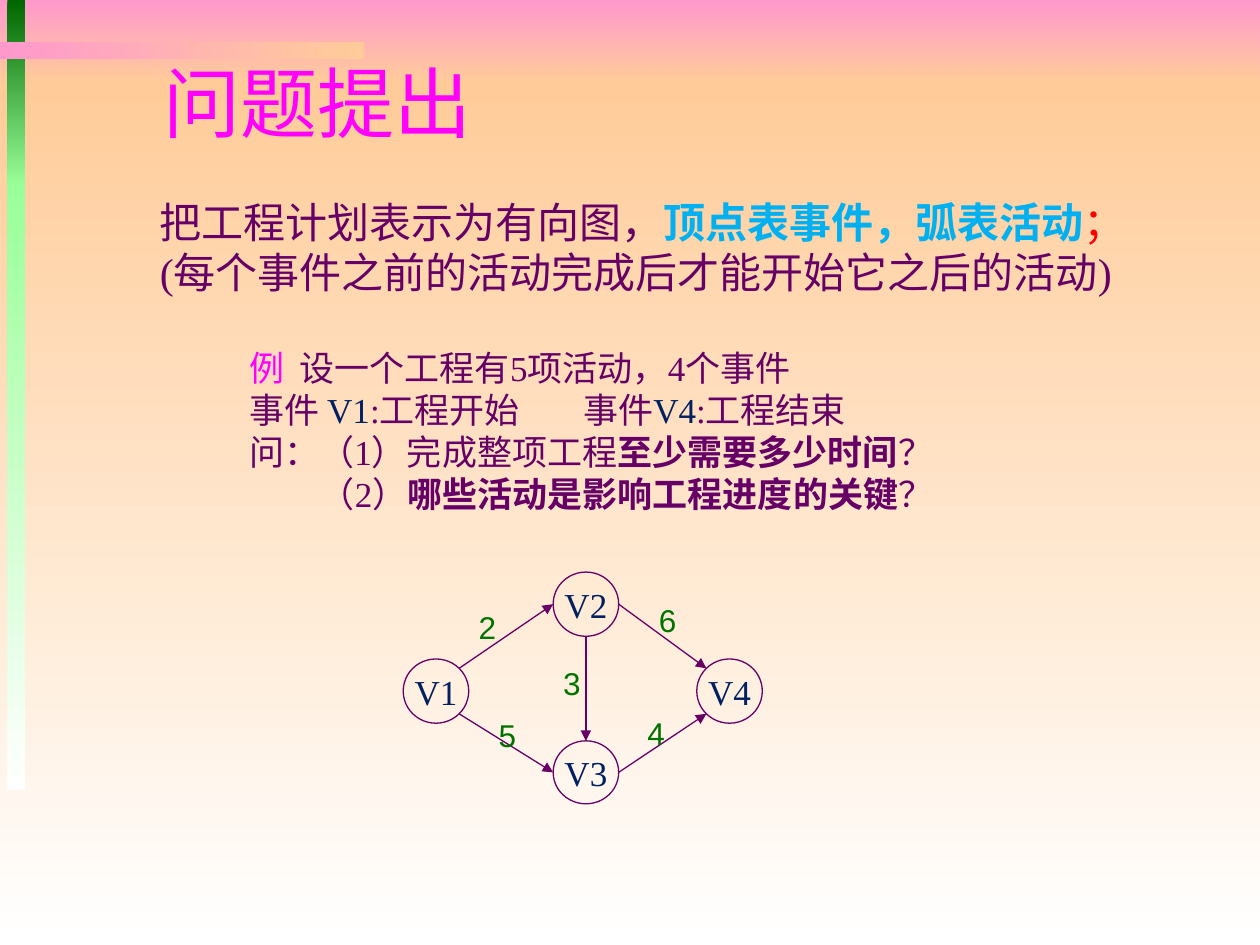
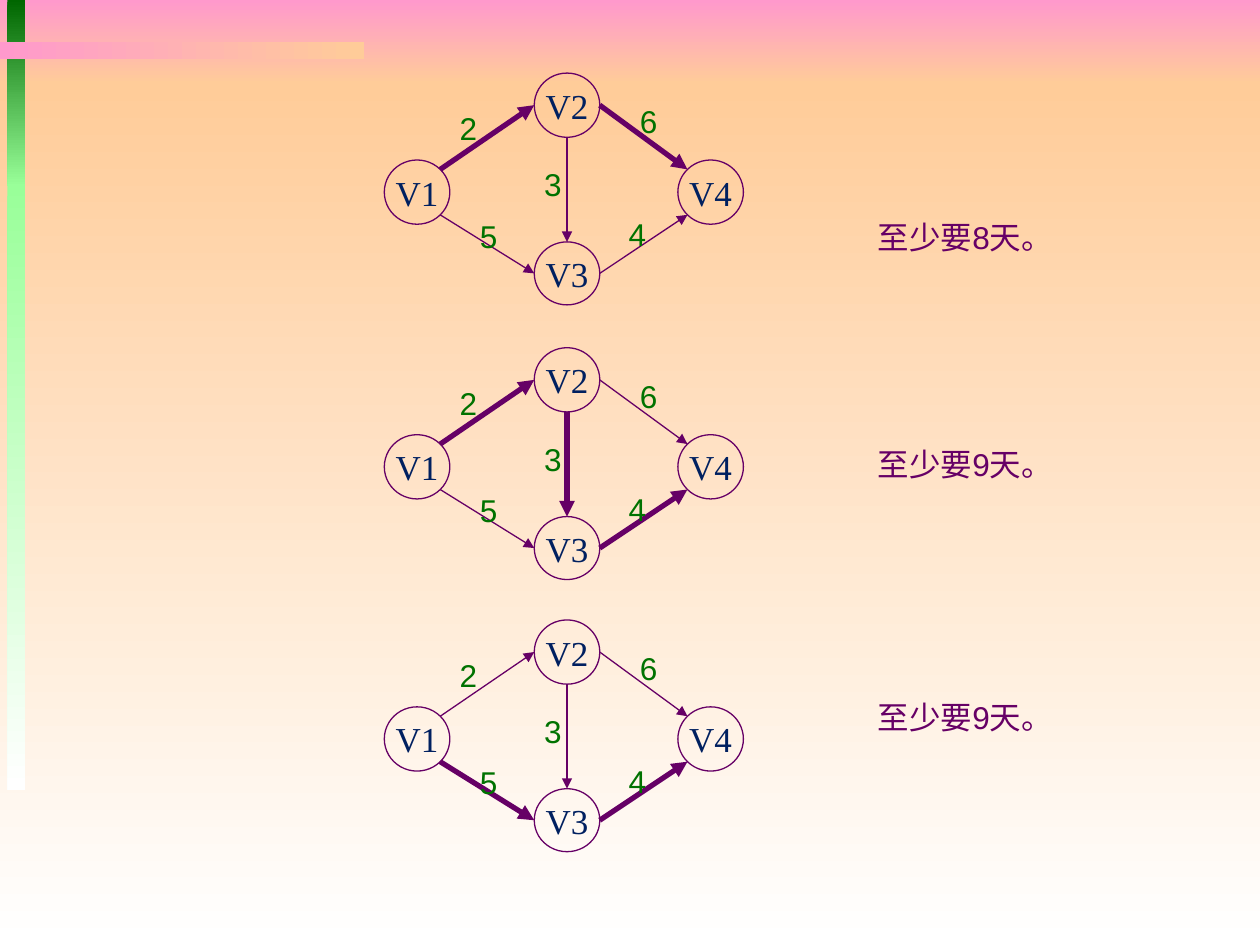
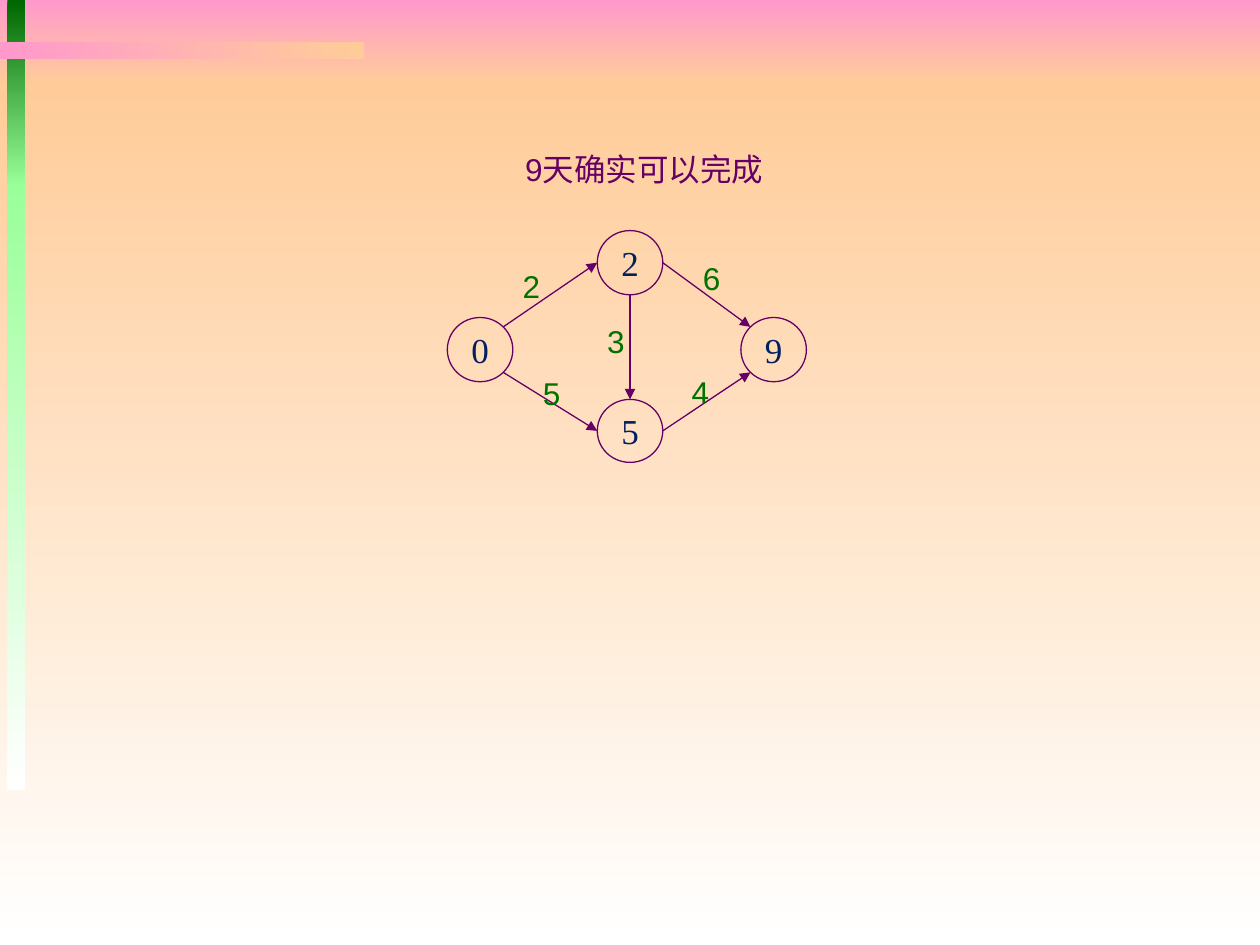
from math import sqrt

from lxml.etree import SubElement
from pptx import Presentation
from pptx.dml.color import RGBColor
from pptx.enum.shapes import MSO_CONNECTOR, MSO_SHAPE
from pptx.enum.text import MSO_ANCHOR, MSO_AUTO_SIZE, PP_ALIGN
from pptx.oxml.ns import qn
from pptx.util import Inches, Pt

PURPLE, NAVY, GREEN = "660066", "002060", "007200"
MAGENTA, SKY, RED = "FF00FF", "00B0F0", "FF0000"
PINK, PEACH, WHITE = "FF99CC", "FFCC99", "FFFFFF"
DARK_GREEN, LIGHT_GREEN = "006600", "99FF99"
SANS, SERIF = "Arial", "Times New Roman"

BANDS = [
    ((0, 0, 10, 0.67), PINK, PEACH, 270),
    ((0, 0.67, 10, 6.83), PEACH, WHITE, 270),
    ((0.06, 0, 0.14, 1.48), DARK_GREEN, LIGHT_GREEN, 270),
    ((0.06, 1.46, 0.14, 4.81), LIGHT_GREEN, WHITE, 270),
    ((0, 0.33, 2.89, 0.14), PINK, PEACH, 0),
]

NODE_W = 0.52
NODES = {
    "V1": (0, 0.69, 0.51),
    "V2": (1.19, 0, 0.51),
    "V3": (1.19, 1.34, 0.5),
    "V4": (2.33, 0.69, 0.51),
}
DIAG = sqrt(0.5)
SITES = {"top": (0, -1), "bottom": (0, 1), "left": (-1, 0), "right": (1, 0),
         "top left": (-DIAG, -DIAG), "bottom left": (-DIAG, DIAG),
         "top right": (DIAG, -DIAG), "bottom right": (DIAG, DIAG)}
EDGES = [
    ("V1", "top right", "V2", "left", "2", (0.5, 0.24)),
    ("V1", "bottom right", "V3", "left", "5", (0.66, 1.09)),
    ("V2", "right", "V4", "top left", "6", (1.93, 0.18)),
    ("V3", "right", "V4", "bottom left", "4", (1.84, 1.08)),
    ("V2", "bottom", "V3", "top", "3", (1.17, 0.68)),
]


def rgb(color):
    """Turn a hex string into a colour."""
    return RGBColor.from_string(color)


def write(tf, text, size=18, font=SANS, color=PURPLE, bold=False,
          align=PP_ALIGN.LEFT, tabs=(), indents=()):
    """Fill a frame from a string, or from lists of (text, format) runs."""
    lines = [[(text, {})]] if isinstance(text, str) else text
    for i, runs in enumerate(lines):
        p = tf.paragraphs[0] if i == 0 else tf.add_paragraph()
        p.alignment = align
        pPr = p._p.get_or_add_pPr()
        if i < len(indents) and indents[i]:
            pPr.set("marL", str(Inches(indents[i])))
            pPr.set("indent", "0")
        if i < len(tabs) and tabs[i]:
            tab_list = SubElement(pPr, qn("a:tabLst"))
            SubElement(tab_list, qn("a:tab"), pos=str(Inches(tabs[i])), algn="l")
        for part, fmt in runs:
            r = p.add_run()
            r.text = part
            r.font.size = Pt(size)
            r.font.name = font
            r.font.bold = fmt.get("bold", bold)
            r.font.color.rgb = rgb(fmt.get("color", color))


def add_text(slide, box, text, wrap=False, **fmt):
    """Add a text box that grows with its text."""
    tf = slide.shapes.add_textbox(*map(Inches, box)).text_frame
    tf.word_wrap = wrap
    tf.auto_size = MSO_AUTO_SIZE.SHAPE_TO_FIT_TEXT
    write(tf, text, **fmt)


def add_band(slide, box, start, end, angle):
    """Add a rectangle with a two-colour gradient."""
    sp = slide.shapes.add_shape(MSO_SHAPE.RECTANGLE, *map(Inches, box))
    sp.shadow.inherit = False
    sp.line.fill.background()
    sp.fill.gradient()
    sp.fill.gradient_angle = angle
    for stop, color, position in zip(sp.fill.gradient_stops, (start, end), (0, 1)):
        stop.color.rgb = rgb(color)
        stop.position = position


def add_node(slide, box, label):
    """Add an outlined circle with its label."""
    sp = slide.shapes.add_shape(MSO_SHAPE.OVAL, *map(Inches, box))
    sp.shadow.inherit = False
    sp.fill.background()
    sp.line.color.rgb = rgb(PURPLE)
    sp.line.width = Pt(0.75)
    tf = sp.text_frame
    tf.margin_left = tf.margin_right = tf.margin_top = tf.margin_bottom = 0
    tf.word_wrap = False
    tf.vertical_anchor = MSO_ANCHOR.MIDDLE
    write(tf, label, size=20, font=SERIF, color=NAVY, align=PP_ALIGN.CENTER)


def add_arrow(slide, start, end, width):
    """Add a straight arrow."""
    cxn = slide.shapes.add_connector(MSO_CONNECTOR.STRAIGHT,
                                     *map(Inches, (*start, *end)))
    cxn.line.color.rgb = rgb(PURPLE)
    cxn.line.width = Pt(width)
    SubElement(cxn.line._get_or_add_ln(), qn("a:tailEnd"), type="triangle")
    SubElement(cxn._element.spPr, qn("a:effectLst"))


def add_graph(slide, left, top, labels=tuple(NODES), critical=()):
    """Draw the activity graph, with the critical activities in bold lines."""
    def site(node, side):
        x, y, h = NODES[node]
        dx, dy = SITES[side]
        return left + x + NODE_W / 2 * (1 + dx), top + y + h / 2 * (1 + dy)

    for (x, y, h), label in zip(NODES.values(), labels):
        add_node(slide, (left + x, top + y, NODE_W, h), label)
    for tail, tail_side, head, head_side, days, _ in EDGES:
        add_arrow(slide, site(tail, tail_side), site(head, head_side),
                  3 if days in critical else 0.75)
    for *_, days, (x, y) in EDGES:
        add_text(slide, (left + x, top + y, 0.49, 0.4), days, wrap=True, color=GREEN)


def add_slide(prs):
    """Add a blank slide with the shared bands."""
    slide = prs.slides.add_slide(prs.slide_layouts[6])
    for band in BANDS:
        add_band(slide, *band)
    return slide


def problem_slide(prs):
    """State the problem and show the project graph."""
    slide = add_slide(prs)
    bold, navy = {"bold": True}, {"color": NAVY}
    add_text(slide, (1.2, 0.39, 8.8, 1.09), "问题提出", wrap=True, size=44, color=MAGENTA)
    add_text(slide, (1.17, 1.51, 8.06, 0.91), [
        [("把工程计划表示为有向图，", {}),
         ("顶点表事件，弧表活动", {"color": SKY, "bold": True}),
         ("；", {"color": RED})],
        [("(每个事件之前的活动完成后才能开始它之后的活动)", {})],
    ], size=24, font=SERIF)
    add_text(slide, (1.88, 2.7, 5.67, 1.45), [
        [("例\t", {"color": MAGENTA}), ("设一个工程有5项活动，4个事件", {})],
        [("事件 ", {}), ("V1", navy), (":工程开始\t事件", {}),
         ("V4", navy), (":工程结束", {})],
        [("问：（1）完成整项工程", {}), ("至少需要多少时间", bold), ("？", {})],
        [("（2）", {}), ("哪些活动是影响工程进度的关键", bold), ("？", {})],
    ], size=20, font=SERIF, tabs=(0.4, 2.65), indents=(0, 0, 0, 0.56))
    add_graph(slide, 3.2, 4.54)


def paths_slide(prs):
    """Show the three paths and the days each one takes."""
    slide = add_slide(prs)
    paths = [(0.58, "26", 1.68, 8), (2.76, "234", 3.48, 9), (4.92, "54", 5.49, 9)]
    for graph_top, critical, note_top, days in paths:
        add_graph(slide, 3.05, graph_top, critical=critical)
        add_text(slide, (6.87, note_top, 1.6, 0.4), f"至少要{days}天。")


def schedule_slide(prs):
    """Show the day on which each event happens."""
    slide = add_slide(prs)
    add_graph(slide, 3.55, 1.83, labels="0259")
    add_text(slide, (4.07, 1.14, 2.11, 0.4), "9天确实可以完成", wrap=True)


def main():
    """Build and save the presentation."""
    prs = Presentation()
    prs.slide_width, prs.slide_height = Inches(10), Inches(7.5)
    problem_slide(prs)
    paths_slide(prs)
    schedule_slide(prs)
    prs.save("out.pptx")


if __name__ == "__main__":
    main()
